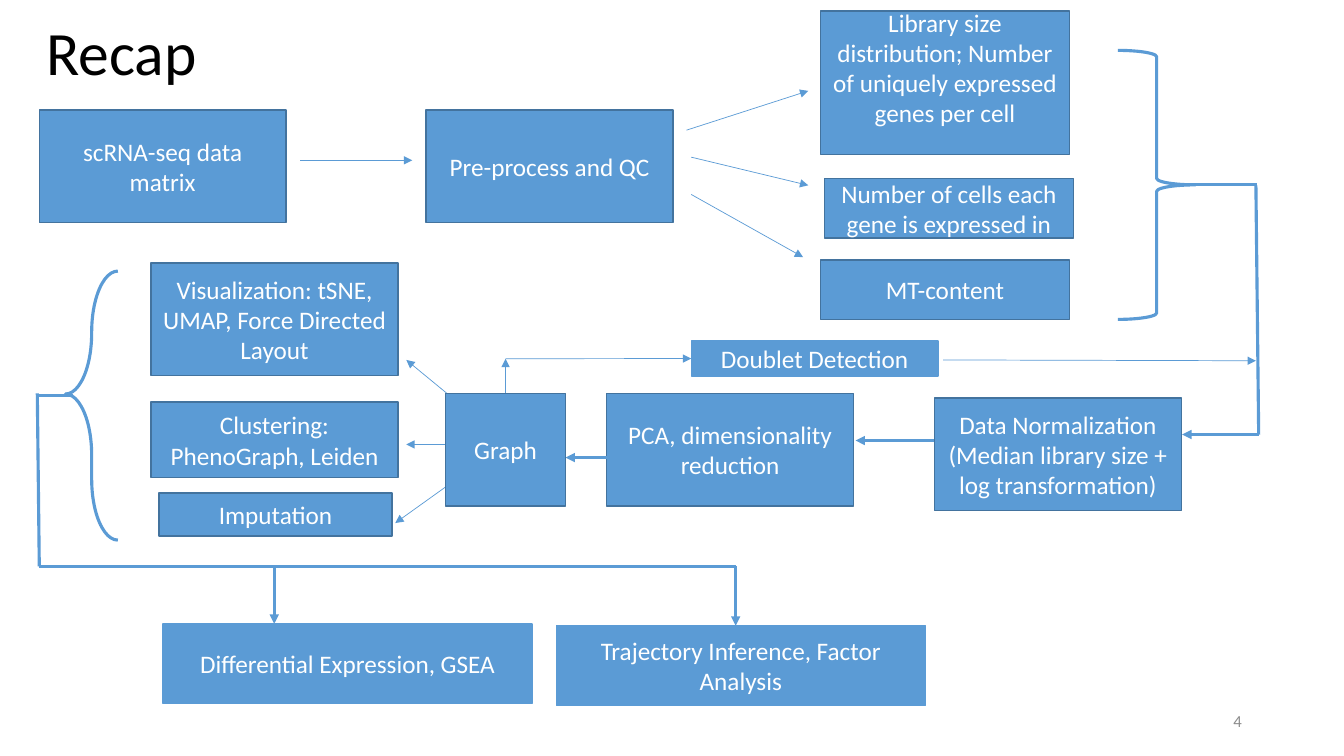
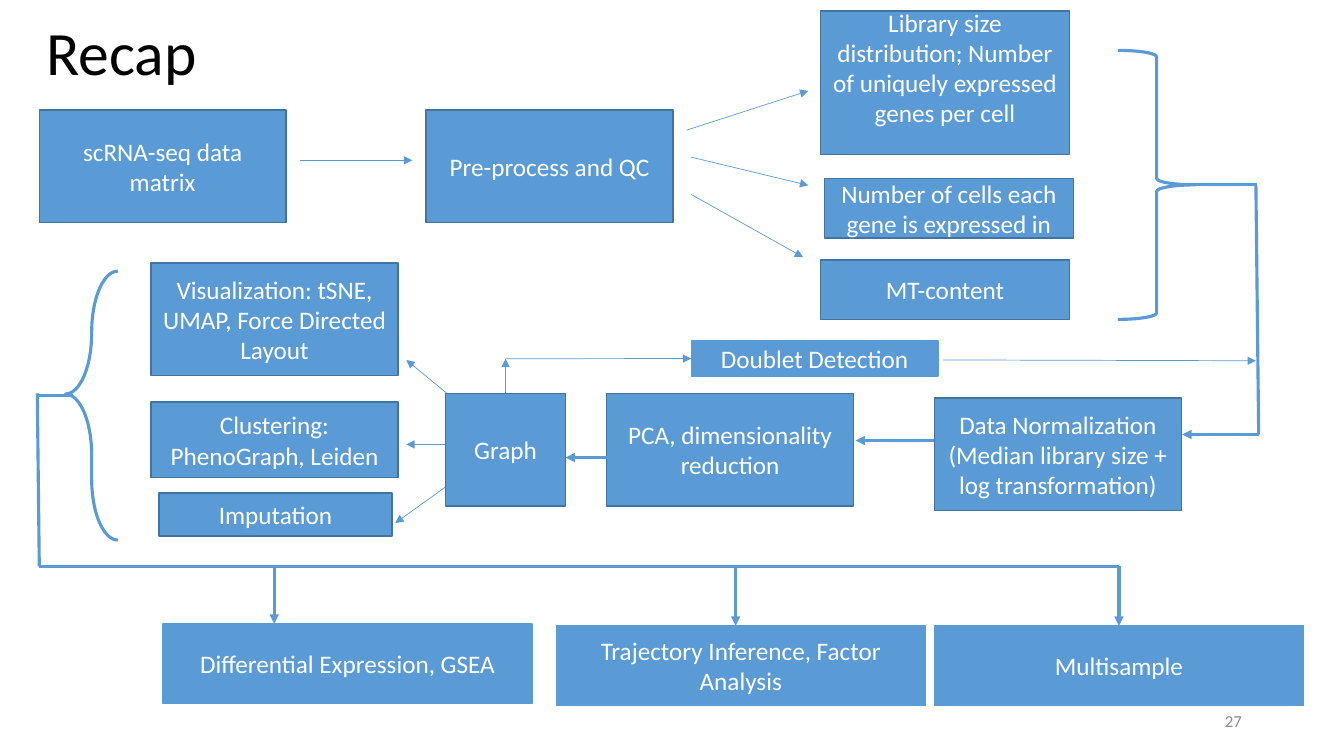
from lxml.etree import SubElement
from pptx import Presentation
from pptx.dml.color import RGBColor
from pptx.enum.shapes import MSO_CONNECTOR, MSO_SHAPE
from pptx.enum.text import MSO_ANCHOR, PP_ALIGN
from pptx.oxml.ns import qn
from pptx.util import Cm, Pt

BLUE = RGBColor(0x5B, 0x9B, 0xD5)
DARK_BLUE = RGBColor(0x43, 0x73, 0x9E)
WHITE = RGBColor(0xFF, 0xFF, 0xFF)
BLACK = RGBColor(0, 0, 0)
GRAY = RGBColor(0x8C, 0x8C, 0x8C)
FONT = "Calibri"
THIN, THICK = 0.5, 2.25
TOP, LEFT = 0, 1

BOX_WIDTH, BOX_HEIGHT = 6.22, 2.84
CHECK_WIDTH, CHECK_HEIGHT = 6.27, 1.5
OUTCOME_WIDTH, OUTCOME_HEIGHT = 9.3, 2.01
BRACE_HEIGHT = 6.78
BUS_LEFT, BUS_TOP = 0.99, 14.27

# text, left, top, width, height
STEPS = [
    ("scRNA-seq data matrix", 0.99, 2.77, BOX_WIDTH, BOX_HEIGHT),
    ("Pre-process and QC", 10.74, 2.77, BOX_WIDTH, BOX_HEIGHT),
    ("Number of cells each gene is expressed in", 20.78, 4.5, CHECK_WIDTH, CHECK_HEIGHT),
    ("MT-content", 20.68, 6.55, CHECK_WIDTH, CHECK_HEIGHT),
    ("Data Normalization (Median library size + log transformation)",
     23.55, 10.03, BOX_WIDTH, BOX_HEIGHT),
    ("PCA, dimensionality reduction", 15.29, 9.91, BOX_WIDTH, BOX_HEIGHT),
    ("Visualization: tSNE, UMAP, Force Directed Layout", 3.81, 6.63, BOX_WIDTH, BOX_HEIGHT),
    ("Clustering: PhenoGraph, Leiden", 3.81, 10.13, BOX_WIDTH, 1.91),
    ("Imputation", 4.01, 12.42, 5.87, 1.09),
]

# start, end
THIN_ARROWS = [
    ((7.57, 4.04), (10.39, 4.04)),
    ((17.3, 3.28), (20.37, 2.29)),
    ((17.42, 3.96), (20.37, 4.67)),
    ((17.42, 4.9), (20.24, 6.48)),
    ((11.26, 9.91), (10.24, 9.07)),
    ((11.23, 11.2), (10.24, 11.2)),
    ((11.23, 12.27), (9.96, 13.18)),
    ((23.77, 9.07), (31.65, 9.09)),
]
THICK_ARROWS = [
    ((31.72, 10.95), (29.79, 10.95)),
    ((23.55, 11.1), (21.56, 11.1)),
    ((15.29, 11.53), (14.25, 11.53)),
]
THICK_LINES = [
    ((29.77, 4.65), (31.67, 4.65)),
    ((31.65, 4.67), (31.72, 10.95)),
    ((0.91, 9.96), (1.85, 9.96)),
    ((BUS_LEFT, BUS_TOP), (0.94, 9.91)),
]

# text, left, top, x of the arrow from the bus
OUTCOMES = [
    ("Differential Expression, GSEA", 4.11, 15.72, 6.91),
    ("Trajectory Inference, Factor Analysis", 14.02, 15.77, 18.54),
    ("Multisample", 23.55, 15.77, 28.2),
]


class Deck:
    """Style of the deck, and the slide that is being filled."""

    def __init__(self):
        self.presentation = Presentation()
        self.presentation.slide_width = Cm(33.87)
        self.presentation.slide_height = Cm(19.05)
        self.slide = None

    def add_slide(self, title, number):
        self.slide = self.presentation.slides.add_slide(self.presentation.slide_layouts[5])
        placeholder = self.slide.shapes.title
        placeholder.left, placeholder.top = Cm(0.91), Cm(-0.43)
        placeholder.width, placeholder.height = Cm(29.21), Cm(3.68)
        self.set_text(placeholder, title, 44, BLACK, PP_ALIGN.LEFT)
        placeholder.text_frame.paragraphs[0].line_spacing = 0.9
        number_box = self.slide.shapes.add_textbox(Cm(23.93), Cm(17.65), Cm(7.62), Cm(1.02))
        self.set_text(number_box, str(number), 12, GRAY, PP_ALIGN.RIGHT)

    def set_text(self, shape, text, size, color, alignment):
        frame = shape.text_frame
        frame.text = text
        frame.word_wrap = True
        frame.vertical_anchor = MSO_ANCHOR.MIDDLE
        paragraph = frame.paragraphs[0]
        paragraph.alignment = alignment
        font = paragraph.runs[0].font
        font.name, font.size, font.color.rgb = FONT, Pt(size), color

    def box(self, text, left, top, width, height, border=DARK_BLUE):
        shape = self.slide.shapes.add_shape(
            MSO_SHAPE.RECTANGLE, Cm(left), Cm(top), Cm(width), Cm(height))
        shape.shadow.inherit = False
        shape.fill.solid()
        shape.fill.fore_color.rgb = BLUE
        shape.line.color.rgb = border
        shape.line.width = Pt(1)
        self.set_text(shape, text, 18, WHITE, PP_ALIGN.CENTER)
        return shape

    def brace(self, left, top, width, height):
        shape = self.slide.shapes.add_shape(
            MSO_SHAPE.RIGHT_BRACE, Cm(left), Cm(top), Cm(width), Cm(height))
        shape.shadow.inherit = False
        shape.fill.background()
        shape.line.color.rgb = BLUE
        shape.line.width = Pt(THICK)
        return shape

    def line(self, start, end, width, arrow=False):
        connector = self.slide.shapes.add_connector(
            MSO_CONNECTOR.STRAIGHT, *(Cm(length) for length in (*start, *end)))
        connector.line.color.rgb = BLUE
        connector.line.width = Pt(width)
        properties = connector._element.spPr
        if arrow:
            SubElement(properties.find(qn("a:ln")), qn("a:tailEnd"), type="triangle")
        SubElement(properties, qn("a:effectLst"))
        return connector


def add_recap(deck, number, outcomes):
    deck.add_slide("Recap", number)
    for step in STEPS:
        deck.box(*step)
    library_size = deck.box(
        "Library size distribution; Number of uniquely expressed genes per cell",
        20.68, 0.28, CHECK_WIDTH, 3.61)
    library_size.text_frame.margin_bottom = Cm(0.89)

    deck.brace(28.17, 1.27, 1.96, BRACE_HEIGHT)
    left_brace = deck.brace(1.65, 6.83, 1.32, BRACE_HEIGHT)
    left_brace.rotation = 180
    left_brace.adjustments[0] = 1.167
    left_brace.adjustments[1] = 0.543

    for start, end in THIN_ARROWS:
        deck.line(start, end, THIN, arrow=True)
    for start, end in THICK_ARROWS:
        deck.line(start, end, THICK, arrow=True)
    for start, end in THICK_LINES:
        deck.line(start, end, THICK)

    graph = deck.box("Graph", 11.23, 9.91, 3.02, BOX_HEIGHT)
    doublets = deck.box("Doublet Detection", 17.42, 8.59, BOX_WIDTH, 0.89, border=BLUE)
    corner = (12.74, 9.04)
    deck.line((12.74, 9.91), corner, THIN, arrow=True).begin_connect(graph, TOP)
    deck.line(corner, (17.42, 9.04), THIN, arrow=True).end_connect(doublets, LEFT)

    for text, left, top, arrow_x in outcomes:
        outcome = deck.box(text, left, top, OUTCOME_WIDTH, OUTCOME_HEIGHT, border=BLUE)
        arrow = deck.line((arrow_x, BUS_TOP), (arrow_x, top), THICK, arrow=True)
        if arrow_x == round(left + OUTCOME_WIDTH / 2, 2):
            arrow.end_connect(outcome, TOP)
    bus_right = outcomes[-1][-1]
    deck.line((BUS_LEFT, BUS_TOP), (bus_right, BUS_TOP), THICK)


def main():
    deck = Deck()
    add_recap(deck, 4, OUTCOMES[:2])
    add_recap(deck, 27, OUTCOMES)
    deck.presentation.save("out.pptx")


if __name__ == "__main__":
    main()
